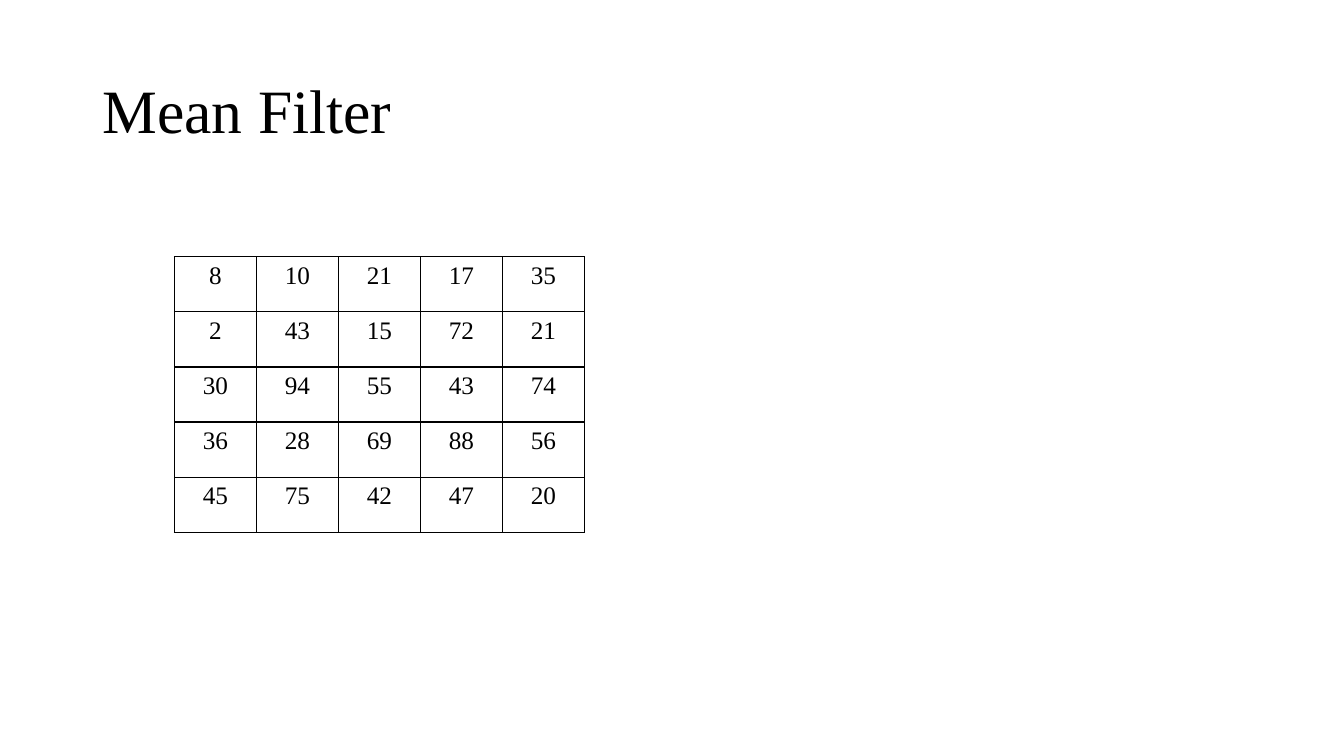
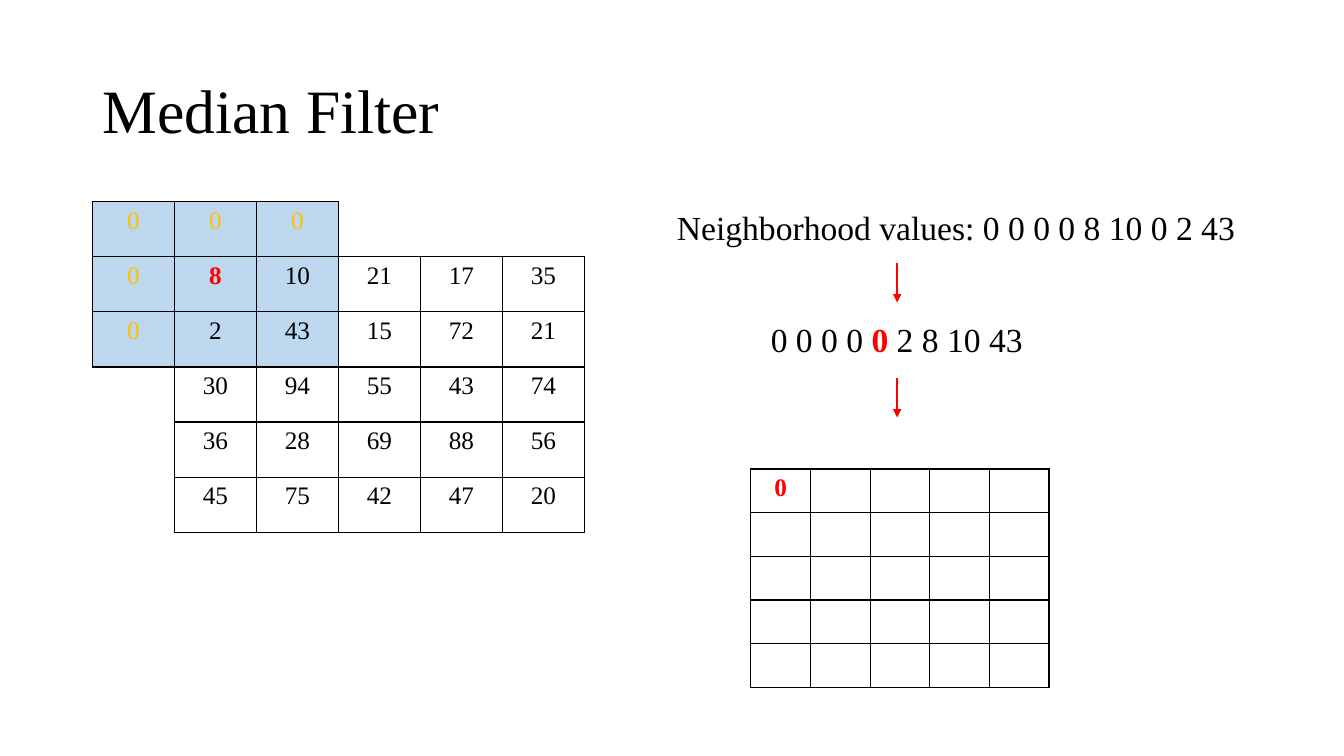
from itertools import product

from lxml import etree
from pptx import Presentation
from pptx.dml.color import RGBColor
from pptx.enum.shapes import MSO_CONNECTOR
from pptx.enum.text import MSO_ANCHOR, PP_ALIGN
from pptx.oxml.ns import qn
from pptx.util import Cm, Pt

STRAIGHT = MSO_CONNECTOR.STRAIGHT
MIDDLE, TOP = MSO_ANCHOR.MIDDLE, MSO_ANCHOR.TOP
LEFT, CENTER = PP_ALIGN.LEFT, PP_ALIGN.CENTER

FONT = "Times New Roman"
BLACK, RED, GOLD, BLUE = "000000", "FF0000", "FFC000", "BDD7EE"
NO_STYLE = "{2D5ABB26-0587-4C30-8999-92F81FD0307C}"
TITLE_BOX = (2.33, 1.01, 29.21, 3.68)
PIXEL_BOX = (2.33, 5.08, 12.4, 8.34)
STEPS_BOX = (15.62, 5.08, 16.94, 12.24)

TITLE = {"size": Pt(44), "bold": False}
STEP = {"size": Pt(24), "bold": False}
NUMBER = {"size": Pt(18), "bold": False}
STRONG = {"bold": True}

PIXELS = [
    [8, 10, 21, 17, 35],
    [2, 43, 15, 72, 21],
    [30, 94, 55, 43, 74],
    [36, 28, 69, 88, 56],
    [45, 75, 42, 47, 20],
]
SIZE = len(PIXELS) + 1
INNER = set(product(range(1, SIZE), repeat=2))
WINDOW = set(product(range(3), repeat=2))
CENTRE = (1, 1)
SIDES = {"lnL": (0, -1), "lnR": (0, 1), "lnT": (-1, 0), "lnB": (1, 0)}


def rgb(color):
    return RGBColor.from_string(color)


def add_run(p, text, style, color=BLACK):
    r = p.add_run()
    r.text = text
    for name, value in {"name": FONT, **style}.items():
        setattr(r.font, name, value)
    r.font.color.rgb = rgb(color)


def add_title(slide, text, box):
    sp = slide.shapes.title
    sp.left, sp.top, sp.width, sp.height = map(Cm, box)
    tf = sp.text_frame
    tf.vertical_anchor = MIDDLE
    p = tf.paragraphs[0]
    p.alignment, p.line_spacing = LEFT, 0.9
    add_run(p, text, TITLE)


def add_text(slide, runs, box):
    tf = slide.shapes.add_textbox(*map(Cm, box)).text_frame
    tf.word_wrap = True
    tf.vertical_anchor = TOP
    p = tf.paragraphs[0]
    p.alignment = CENTER
    for run in runs:
        add_run(p, *run)


def add_arrow(slide, x, top, length):
    line = slide.shapes.add_connector(STRAIGHT, *map(Cm, (x, top, x, top + length)))
    line.line.color.rgb = rgb(RED)
    line.line.width = Pt(1.5)
    etree.SubElement(line.line._get_or_add_ln(), qn("a:tailEnd"), type="triangle")
    etree.SubElement(line._element.spPr, qn("a:effectLst"))


def set_borders(cell, spot, framed):
    row, col = spot
    tc_pr = cell._tc.get_or_add_tcPr()
    for side, (down, right) in SIDES.items():
        ln = etree.SubElement(tc_pr, qn(f"a:{side}"), w=str(Pt(1)))
        if spot in framed or (row + down, col + right) in framed:
            fill = etree.SubElement(ln, qn("a:solidFill"))
            etree.SubElement(fill, qn("a:srgbClr"), val=BLACK)
        else:
            etree.SubElement(ln, qn("a:noFill"))


def add_grid(slide, box, values, framed, shaded=()):
    left, top, width, height = box
    table = slide.shapes.add_table(SIZE, SIZE, *map(Cm, box)).table
    table.first_row = table.horz_banding = False
    table._tbl.tblPr.find(qn("a:tableStyleId")).text = NO_STYLE
    for column in table.columns:
        column.width = Cm(width / SIZE)
    for row in table.rows:
        row.height = Cm(height / SIZE)
    for spot in product(range(SIZE), repeat=2):
        cell = table.cell(*spot)
        set_borders(cell, spot, framed)
        if spot in shaded:
            cell.fill.solid()
            cell.fill.fore_color.rgb = rgb(BLUE)
        else:
            cell.fill.background()
        if spot in values:
            p = cell.text_frame.paragraphs[0]
            p.alignment = CENTER
            text, style, color = values[spot]
            add_run(p, text, {**NUMBER, **style}, color)


def pixel_values():
    return {(r, c): (str(PIXELS[r - 1][c - 1]), {}, BLACK) for r, c in INNER}


def add_steps(slide, box):
    left, top, width, height = box
    arrow_x = left + 6.99
    add_text(slide, [("Neighborhood values: 0 0 0 0 8 10 0 2 43", STEP)],
             (left, top, width, 1.27))
    add_arrow(slide, arrow_x, top + 1.55, 0.99)
    add_text(slide, [("0 0 0 0 ", STEP), ("0", {**STEP, **STRONG}, RED),
                     (" 2 8 10 43", STEP)], (left + 1.8, top + 2.82, 10.36, 1.27))
    add_arrow(slide, arrow_x, top + 4.45, 0.99)
    result_top = 5.64
    add_grid(slide, (left + 1.8, top + result_top, 9.02, height - result_top),
             {CENTRE: ("0", STRONG, RED)}, INNER)


def new_slide(prs, title):
    slide = prs.slides.add_slide(prs.slide_layouts[5])
    add_title(slide, title, TITLE_BOX)
    return slide


def mean_slide(prs):
    slide = new_slide(prs, "Mean Filter")
    add_grid(slide, PIXEL_BOX, pixel_values(), INNER)


def median_slide(prs):
    slide = new_slide(prs, "Median Filter")
    values = pixel_values()
    values.update({spot: ("0", {}, GOLD) for spot in WINDOW - INNER})
    values[CENTRE] = (values[CENTRE][0], STRONG, RED)
    add_grid(slide, PIXEL_BOX, values, INNER | WINDOW, WINDOW)
    add_steps(slide, STEPS_BOX)


def main():
    prs = Presentation()
    prs.slide_width, prs.slide_height = Cm(33.87), Cm(19.05)
    mean_slide(prs)
    median_slide(prs)
    prs.save("out.pptx")


if __name__ == "__main__":
    main()
